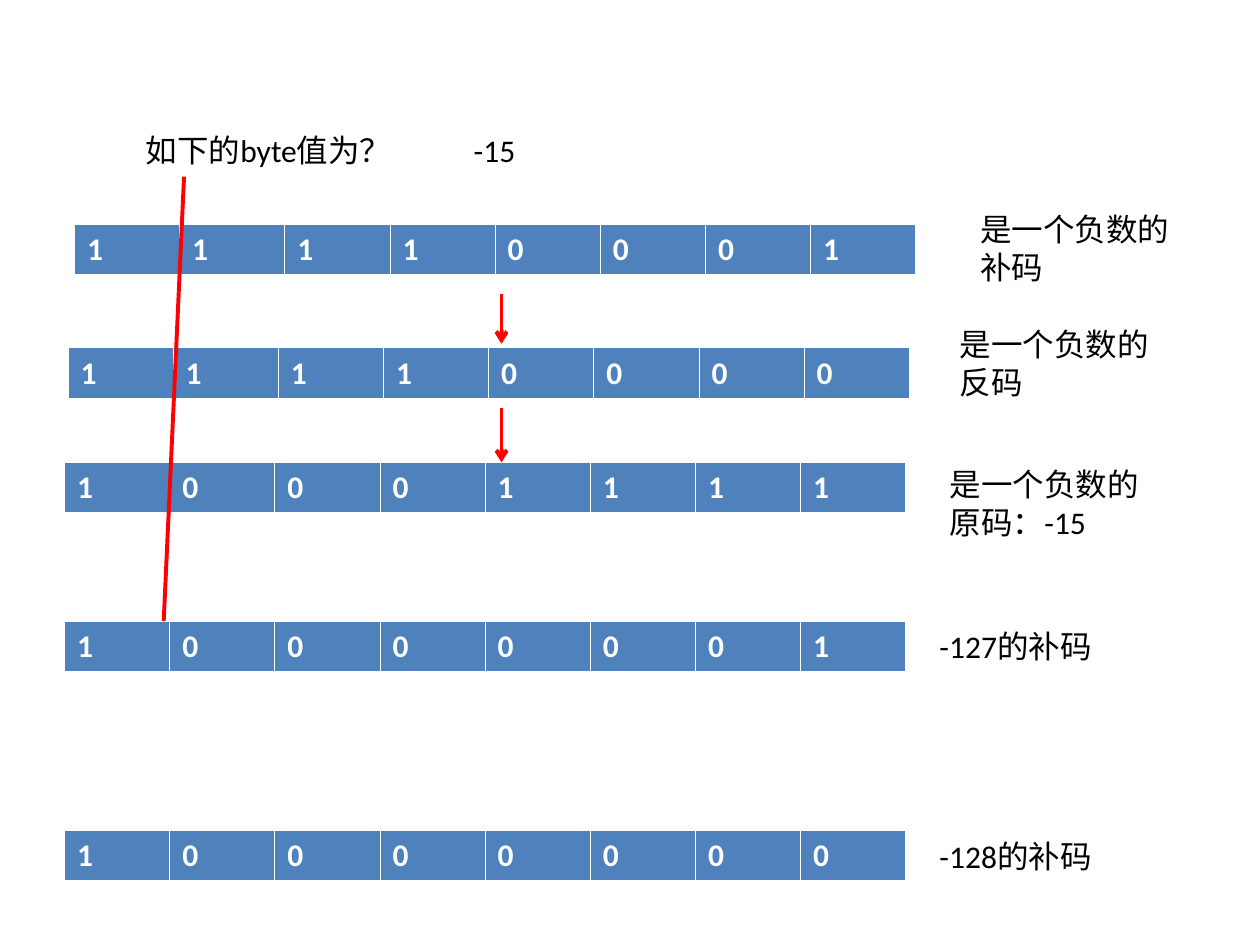
from lxml import etree
from pptx import Presentation
from pptx.dml.color import RGBColor
from pptx.enum.shapes import MSO_CONNECTOR
from pptx.enum.text import MSO_AUTO_SIZE
from pptx.oxml.ns import qn
from pptx.util import Cm, Pt

STRAIGHT = MSO_CONNECTOR.STRAIGHT
FIT_TEXT = MSO_AUTO_SIZE.SHAPE_TO_FIT_TEXT

THEME = {
    "font": "Calibri",
    "size": Pt(18),
    "text": RGBColor(0x00, 0x00, 0x00),
    "bit": RGBColor(0xFF, 0xFF, 0xFF),
    "cell": RGBColor(0x4F, 0x81, 0xBD),
    "mark": RGBColor(0xFF, 0x00, 0x00),
    "mark_width": Pt(2.25),
    "borders": {"lnL": Pt(0.45), "lnR": Pt(0.45), "lnT": Pt(0.45), "lnB": Pt(1.47)},
}

BIT_WIDTH = 2.12
ROW_HEIGHT = 1.02

byte_rows = [
    (1.5, 4.52, "11110001"),
    (1.37, 7.01, "11110000"),
    (1.3, 9.32, "10001111"),
    (1.3, 12.52, "10000001"),
    (1.3, 16.74, "10000000"),
]

notes = [
    (2.69, 2.51, 5.79, 1.02, "如下的byte值为？"),
    (9.3, 2.51, 4.8, 1.02, "-15"),
    (19.51, 4.11, 4.39, 1.78, "是一个负数的补码"),
    (19.1, 6.43, 4.39, 1.78, "是一个负数的反码"),
    (18.9, 9.25, 4.39, 1.78, "是一个负数的原码：-15"),
    (18.69, 12.52, 3.81, 1.02, "-127的补码"),
    (18.69, 16.74, 4.6, 1.02, "-128的补码"),
]

marks = [
    (10.11, 5.92, 10.11, 6.93, True),
    (10.11, 8.23, 10.11, 9.32, True),
    (3.71, 3.56, 3.3, 12.52, False),
]


def add_text(frame, text, color, bold=False):
    run = frame.paragraphs[0].add_run()
    run.text = text
    run.font.name = THEME["font"]
    run.font.size = THEME["size"]
    run.font.bold = bold
    run.font.color.rgb = color


def add_borders(cell):
    properties = cell._tc.get_or_add_tcPr()
    for side, width in THEME["borders"].items():
        border = etree.SubElement(properties, qn(f"a:{side}"), w=str(width))
        fill = etree.SubElement(border, qn("a:solidFill"))
        etree.SubElement(fill, qn("a:srgbClr"), val=str(THEME["bit"]))


prs = Presentation()
prs.slide_width = Cm(25.4)
prs.slide_height = Cm(19.05)
slide = prs.slides.add_slide(prs.slide_layouts[6])

for left, top, bits in byte_rows:
    byte_table = slide.shapes.add_table(
        1, len(bits), Cm(left), Cm(top), Cm(BIT_WIDTH * len(bits)), Cm(ROW_HEIGHT)
    ).table
    for column, bit in enumerate(bits):
        byte_table.columns[column].width = Cm(BIT_WIDTH)
        cell = byte_table.cell(0, column)
        add_borders(cell)
        cell.fill.solid()
        cell.fill.fore_color.rgb = THEME["cell"]
        add_text(cell.text_frame, bit, THEME["bit"], bold=True)

for left, top, width, height, text in notes:
    note = slide.shapes.add_textbox(Cm(left), Cm(top), Cm(width), Cm(height)).text_frame
    note.word_wrap = True
    note.auto_size = FIT_TEXT
    add_text(note, text, THEME["text"])

for start_x, start_y, end_x, end_y, has_arrow in marks:
    mark = slide.shapes.add_connector(
        STRAIGHT, Cm(start_x), Cm(start_y), Cm(end_x), Cm(end_y)
    )
    mark.line.color.rgb = THEME["mark"]
    mark.line.width = THEME["mark_width"]
    if has_arrow:
        etree.SubElement(mark.line._get_or_add_ln(), qn("a:tailEnd"), type="arrow")
    etree.SubElement(mark._element.spPr, qn("a:effectLst"))

prs.save("out.pptx")
